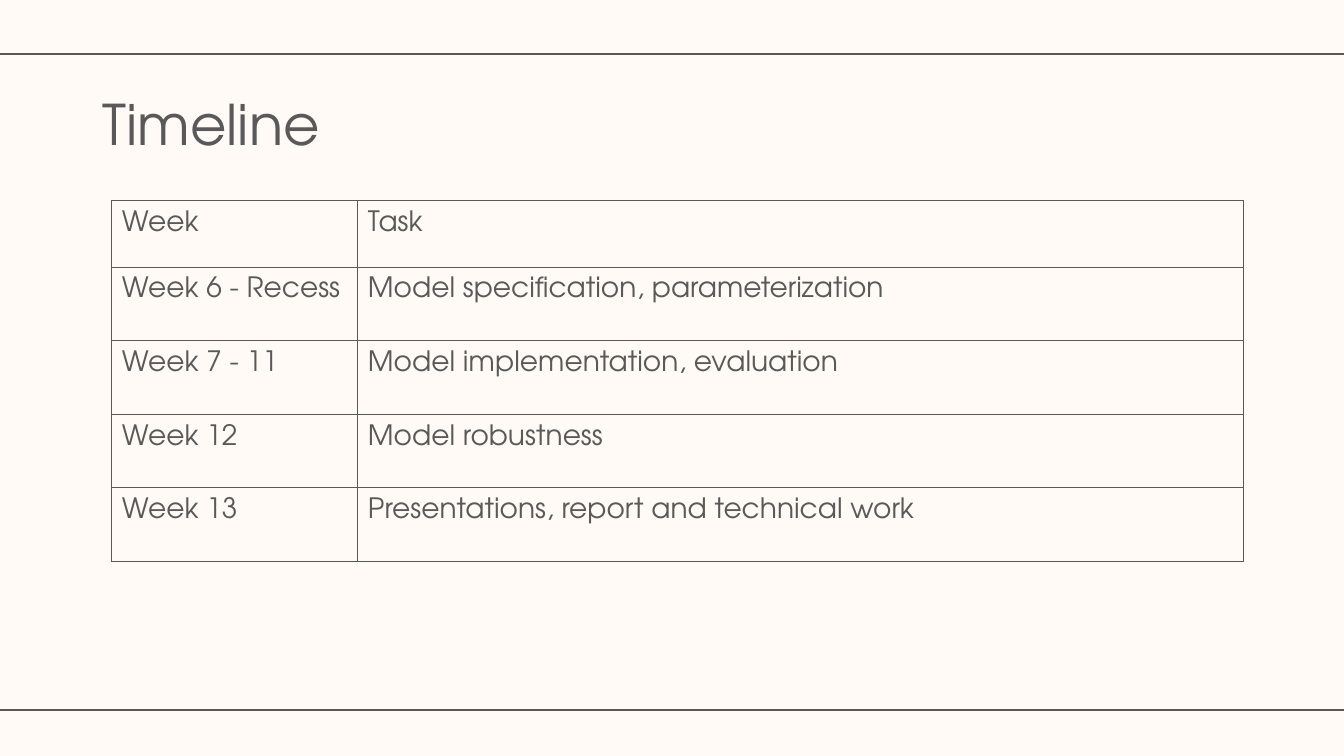
from dataclasses import dataclass

from lxml.etree import SubElement
from pptx import Presentation
from pptx.dml.color import RGBColor
from pptx.enum.shapes import MSO_CONNECTOR
from pptx.enum.text import MSO_ANCHOR, PP_ALIGN
from pptx.oxml.ns import qn
from pptx.util import Inches, Pt


@dataclass(frozen=True)
class Theme:
    font: str = "TeX Gyre Adventor"
    ink: str = "595959"
    paper: str = "FFFAF5"
    title_size: int = 40
    table_size: int = 20
    rule_width: float = 1.5
    border_width: float = 0.75


theme = Theme()
ink = RGBColor.from_string(theme.ink)


def style_text(paragraph, size):
    paragraph.alignment = PP_ALIGN.LEFT
    paragraph.font.name = theme.font
    paragraph.font.size = Pt(size)
    paragraph.font.bold = False
    paragraph.font.color.rgb = ink


def add_borders(cell):
    properties = cell._tc.get_or_add_tcPr()
    for position, side in enumerate(("lnL", "lnR", "lnT", "lnB")):
        border = properties.makeelement(qn(f"a:{side}"), {"w": str(Pt(theme.border_width))})
        fill = SubElement(border, qn("a:solidFill"))
        SubElement(fill, qn("a:srgbClr"), val=theme.ink)
        properties.insert(position, border)


presentation = Presentation()
presentation.slide_width = Inches(13.33)
presentation.slide_height = Inches(7.5)
slide = presentation.slides.add_slide(presentation.slide_layouts[5])
slide.background.fill.solid()
slide.background.fill.fore_color.rgb = RGBColor.from_string(theme.paper)

title = slide.shapes.title
title.left, title.top = Inches(0.92), Inches(0.54)
title.width, title.height = Inches(11.5), Inches(1.45)
title.text_frame.text = "Timeline"
title.text_frame.vertical_anchor = MSO_ANCHOR.MIDDLE
heading = title.text_frame.paragraphs[0]
heading.line_spacing = 0.9
style_text(heading, theme.title_size)

for rule_y in (0.54, 7.04):
    rule = slide.shapes.add_connector(
        MSO_CONNECTOR.STRAIGHT, 0, Inches(rule_y), presentation.slide_width, Inches(rule_y)
    )
    rule.line.color.rgb = ink
    rule.line.width = Pt(theme.rule_width)
    SubElement(rule._element.spPr, qn("a:effectLst"))

schedule = [
    ("Week", "Task"),
    ("Week 6 - Recess", "Model specification, parameterization"),
    ("Week 7 - 11", "Model implementation, evaluation"),
    ("Week 12", "Model robustness"),
    ("Week 13", "Presentations, report and technical work"),
]
column_widths = (2.44, 8.78)
header_height, row_height = 0.66, 0.73
timeline = slide.shapes.add_table(
    len(schedule), len(column_widths), Inches(1.11), Inches(1.99),
    Inches(sum(column_widths)), Inches(header_height + row_height * (len(schedule) - 1)),
).table
timeline.first_row = False
timeline.horz_banding = False

for column, width in zip(timeline.columns, column_widths):
    column.width = Inches(width)

for row_index, entries in enumerate(schedule):
    row = timeline.rows[row_index]
    row.height = Inches(row_height if row_index else header_height)
    for cell, entry in zip(row.cells, entries):
        cell.text = entry
        cell.fill.background()
        cell.vertical_anchor = MSO_ANCHOR.TOP
        cell.margin_left = cell.margin_right = Inches(0.1)
        cell.margin_top = cell.margin_bottom = Inches(0.1)
        style_text(cell.text_frame.paragraphs[0], theme.table_size)
        add_borders(cell)

presentation.save("out.pptx")
